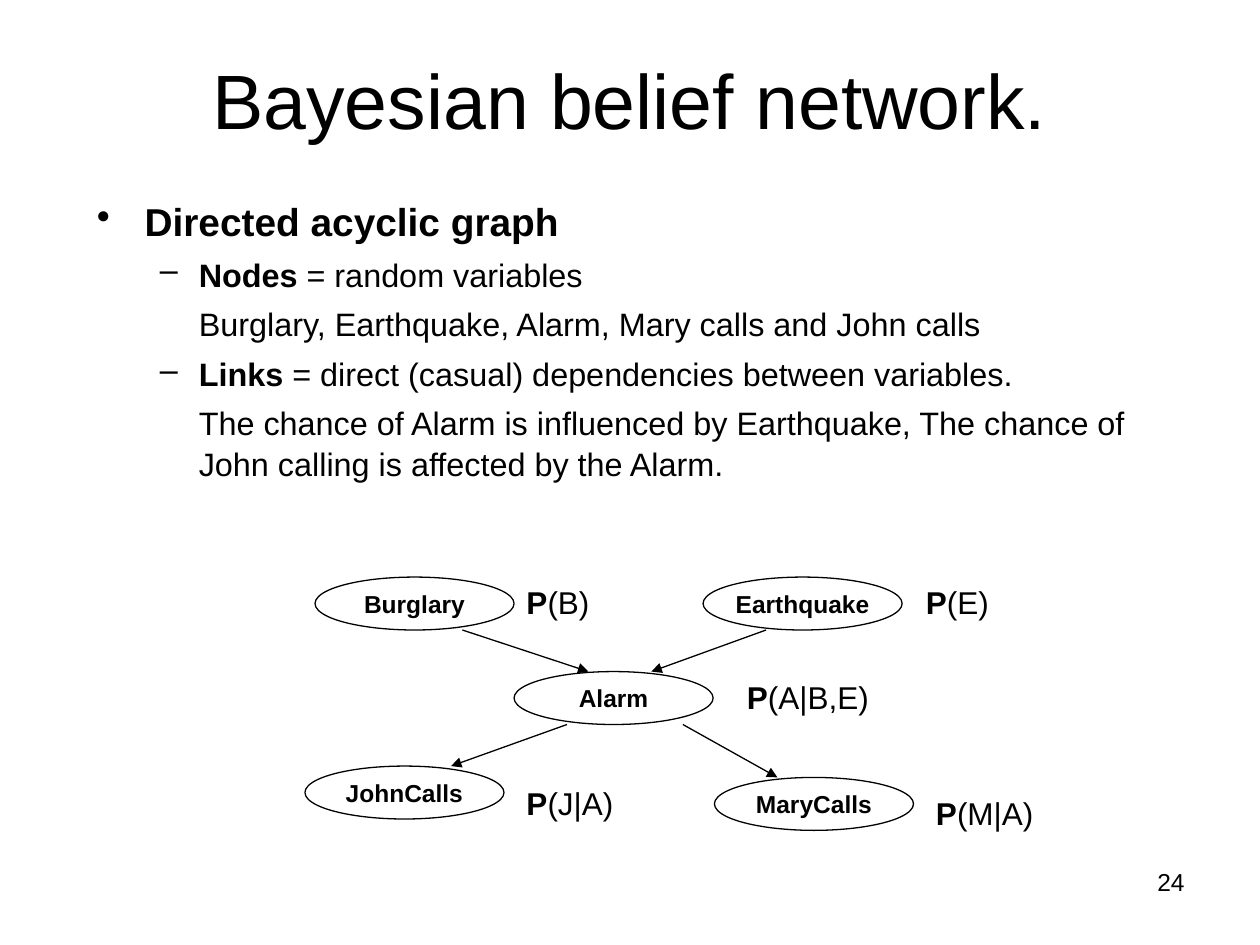
from dataclasses import dataclass
from typing import NamedTuple

import pptx
import pptx.dml.color
import pptx.enum.shapes
import pptx.enum.text
import pptx.oxml
import pptx.oxml.ns
import pptx.util
from pptx.util import Inches

Align = pptx.enum.text.PP_ALIGN
Anchor = pptx.enum.text.MSO_ANCHOR


@dataclass(frozen=True)
class Theme:
    font: str = "Arial"
    ink: str = "000000"
    title: float = 44
    head: float = 22.2
    body: float = 18.5
    label: float = 18
    small: float = 14
    line: float = 0.75
    lead: float = 1.05


class Node(NamedTuple):
    name: str
    left: float
    top: float
    given: str
    label_left: float
    label_top: float
    label_width: float


class Link(NamedTuple):
    x1: float
    y1: float
    x2: float
    y2: float


class Point(NamedTuple):
    bold: str
    plain: str
    bullet: str = ""
    level: int = 1


THEME = Theme()
INK = pptx.dml.color.RGBColor.from_string(THEME.ink)
NODE_W, NODE_H = 1.58, 0.42
MARGINS = ((0.38, -0.38), (0.81, -0.31))

NODES = (
    Node("Burglary", 2.5, 4.58, "(B)", 4.08, 4.58, 0.92),
    Node("Alarm", 4.08, 5.33, "(A|B,E)", 5.83, 5.33, 1.33),
    Node("Earthquake", 5.58, 4.58, "(E)", 7.25, 4.58, 0.92),
    Node("JohnCalls", 2.42, 6.08, "(J|A)", 4.08, 6.17, 0.92),
    Node("MaryCalls", 5.67, 6.17, "(M|A)", 7.33, 6.25, 1.25),
)
LINKS = (
    Link(3.67, 5, 4.67, 5.33),
    Link(6.08, 5, 5.17, 5.33),
    Link(4.5, 5.75, 3.58, 6.08),
    Link(5.42, 5.75, 6.17, 6.17),
)
POINTS = (
    Point("Directed acyclic graph", "", "•", 0),
    Point("Nodes ", "= random variables", "–"),
    Point("", "Burglary, Earthquake, Alarm, Mary calls and John calls"),
    Point("Links ", "= direct (casual) dependencies between variables.", "–"),
    Point("", "The chance of Alarm is influenced by Earthquake, "
              "The chance of John calling is affected by the Alarm."),
)


def add_run(para, text: str, size: float, bold: bool = False) -> None:
    run = para.add_run()
    run.text = text
    run.font.name = THEME.font
    run.font.size = pptx.util.Pt(size)
    run.font.bold = bold
    run.font.color.rgb = INK


def add_mixed(para, bold: str, plain: str, size: float) -> None:
    """Add a bold part and then a plain part, skipping empty ones."""
    for text, heavy in ((bold, True), (plain, False)):
        if text:
            add_run(para, text, size, heavy)


def add_box(slide, left: float, top: float, width: float, height: float):
    box = slide.shapes.add_textbox(
        Inches(left), Inches(top), Inches(width), Inches(height))
    box.text_frame.word_wrap = True
    return box.text_frame


def set_bullet(para, point: Point) -> None:
    """Set the indent and the bullet that go with the point's level."""
    margin, indent = MARGINS[point.level]
    props = para._p.get_or_add_pPr()
    props.set("lvl", str(point.level))
    props.set("marL", str(Inches(margin)))
    props.set("indent", str(Inches(indent) if point.bullet else 0))
    space = pptx.oxml.ns.nsdecls("a")
    if point.bullet:
        xml = f'<a:buChar {space} char="{point.bullet}"/>'
    else:
        xml = f"<a:buNone {space}/>"
    props.append(pptx.oxml.parse_xml(xml))


def add_points(slide) -> None:
    frame = add_box(slide, 0.67, 1.5, 8.5, 2.33)
    for i, point in enumerate(POINTS):
        para = frame.add_paragraph() if i else frame.paragraphs[0]
        set_bullet(para, point)
        para.line_spacing = THEME.lead
        para.space_before = pptx.util.Pt(5 if i else 0)
        size = THEME.body if point.level else THEME.head
        add_mixed(para, point.bold, point.plain, size)


def add_node(slide, node: Node) -> None:
    oval = slide.shapes.add_shape(
        pptx.enum.shapes.MSO_SHAPE.OVAL, Inches(node.left), Inches(node.top),
        Inches(NODE_W), Inches(NODE_H))
    oval.shadow.inherit = False
    oval.fill.background()
    oval.line.color.rgb = INK
    oval.line.width = pptx.util.Pt(THEME.line)
    frame = oval.text_frame
    frame.word_wrap = False
    frame.vertical_anchor = Anchor.MIDDLE
    para = frame.paragraphs[0]
    para.alignment = Align.CENTER
    add_run(para, node.name, THEME.small, True)
    label = add_box(
        slide, node.label_left, node.label_top, node.label_width, 0.4)
    add_mixed(label.paragraphs[0], "P", node.given, THEME.label)


def add_link(slide, link: Link) -> None:
    arrow = slide.shapes.add_connector(
        pptx.enum.shapes.MSO_CONNECTOR.STRAIGHT, *map(Inches, link))
    arrow.line.color.rgb = INK
    arrow.line.width = pptx.util.Pt(THEME.line)
    space = pptx.oxml.ns.nsdecls("a")
    arrow.line._get_or_add_ln().append(
        pptx.oxml.parse_xml(f'<a:tailEnd {space} type="triangle"/>'))
    arrow._element.spPr.append(
        pptx.oxml.parse_xml(f"<a:effectLst {space}/>"))


def main() -> None:
    deck = pptx.Presentation()
    deck.slide_width, deck.slide_height = Inches(10), Inches(7.5)
    slide = deck.slides.add_slide(deck.slide_layouts[6])

    title = add_box(slide, 0.5, 0.3, 9, 0.96)
    title.vertical_anchor = Anchor.MIDDLE
    title.paragraphs[0].alignment = Align.CENTER
    add_run(title.paragraphs[0], "Bayesian belief network.", THEME.title)

    add_points(slide)
    for node in NODES:
        add_node(slide, node)
    for link in LINKS:
        add_link(slide, link)

    number = add_box(slide, 7.17, 6.83, 2.33, 0.52)
    number.paragraphs[0].alignment = Align.RIGHT
    add_run(number.paragraphs[0], "24", THEME.small)

    deck.save("out.pptx")


if __name__ == "__main__":
    main()
